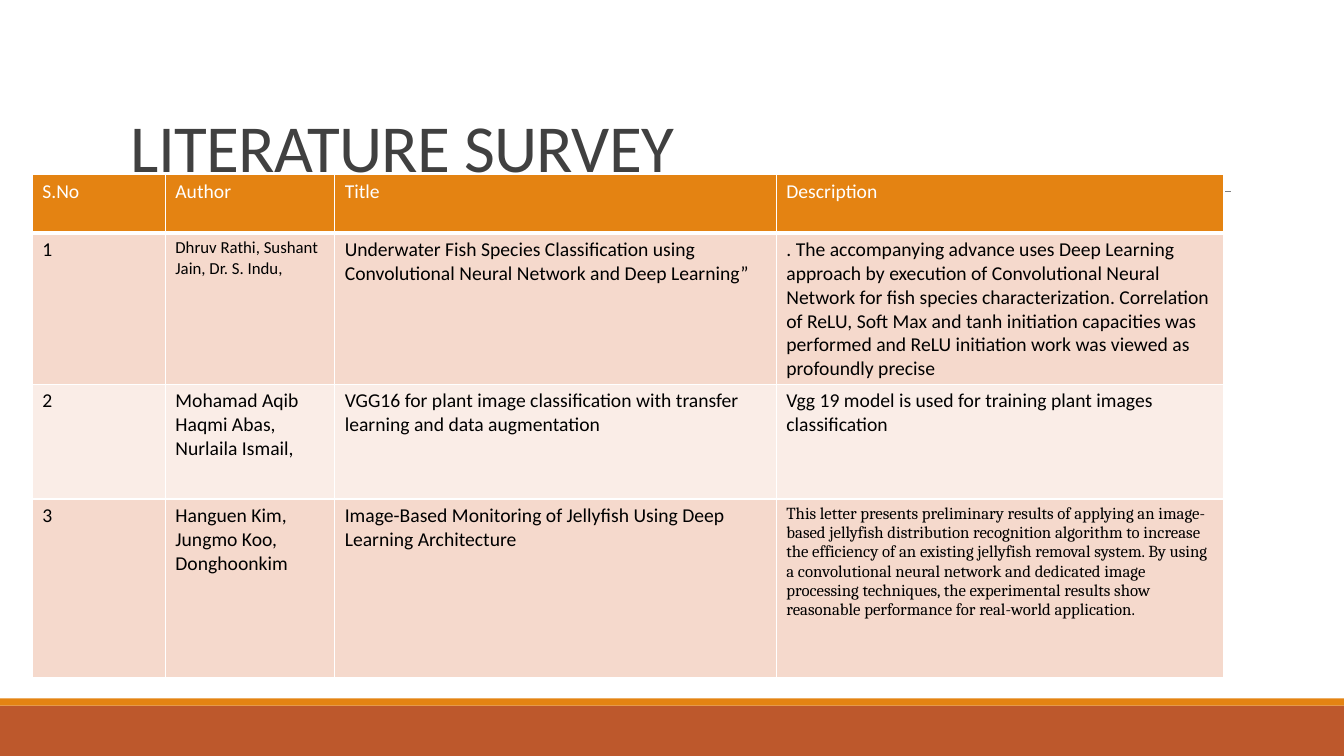
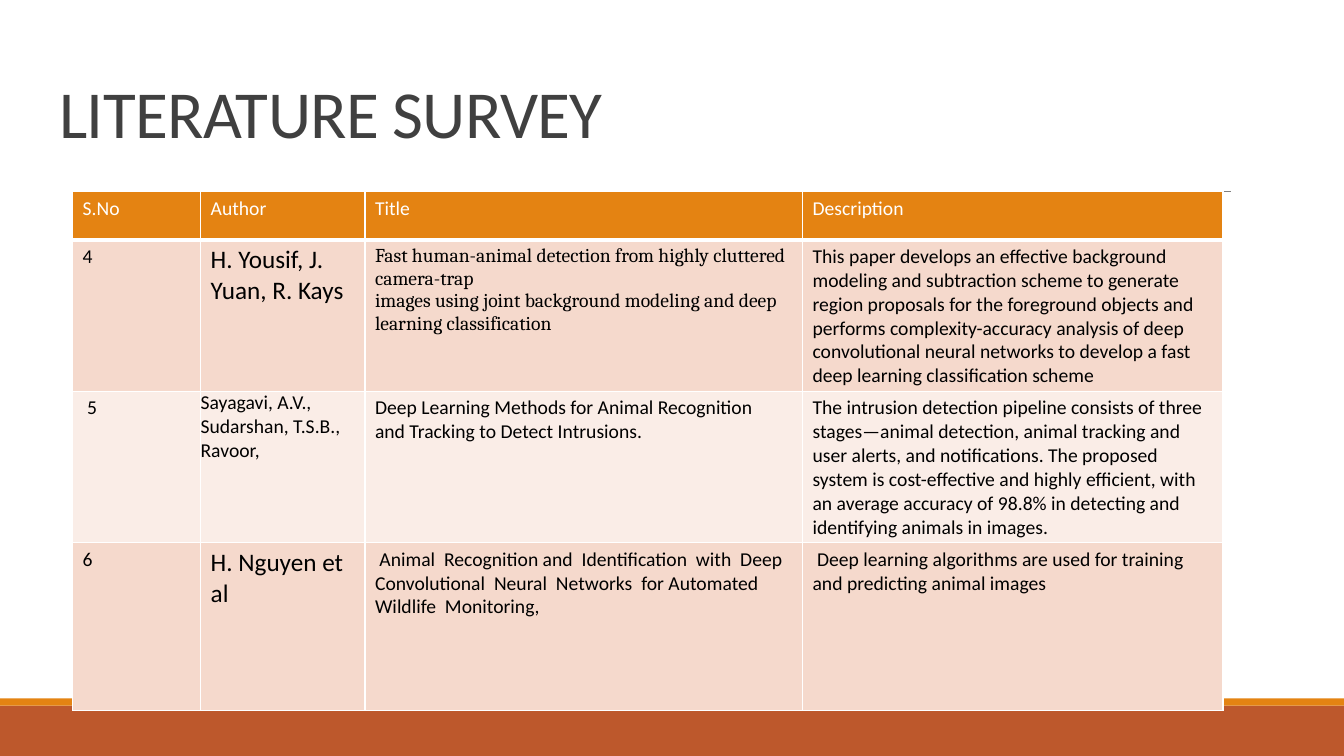
from dataclasses import dataclass

from lxml.etree import SubElement
from pptx import Presentation
from pptx.dml.color import RGBColor
from pptx.enum.shapes import MSO_CONNECTOR as CONN, MSO_SHAPE as SHAPE
from pptx.enum.text import MSO_ANCHOR as ANCHOR
from pptx.oxml.ns import qn
from pptx.util import Inches, Pt

RUST = RGBColor(0xBD, 0x58, 0x2C)
ORANGE = RGBColor(0xE4, 0x83, 0x12)
PEACH = RGBColor(0xF5, 0xD9, 0xCC)
PALE = RGBColor(0xFA, 0xED, 0xE7)
GRAY = RGBColor(0x80, 0x80, 0x80)
DARK = RGBColor(0x40, 0x40, 0x40)
WHITE = RGBColor(0xFF, 0xFF, 0xFF)
BLACK = RGBColor(0, 0, 0)

SANS, SERIF = "Calibri", "Cambria"
SLIDE_W, SLIDE_H = 13.33, 7.5
TITLE = "LITERATURE SURVEY"
HEADER = ["S.No", "Author", "Title", "Description"]


@dataclass
class Entry:
    text: str
    size: int = 14
    font: str = SANS
    flush: bool = False


class Deck:
    def __init__(self):
        self.prs = Presentation()
        self.prs.slide_width = Inches(SLIDE_W)
        self.prs.slide_height = Inches(SLIDE_H)
        self.s = None

    def slide(self):
        self.s = self.prs.slides.add_slide(self.prs.slide_layouts[6])
        self.band(7, 0.5, RUST)
        self.band(6.93, 0.07, ORANGE)
        self.rule(1.31, 12.21, 1.9)

    def band(self, y, h, color):
        sp = self.s.shapes.add_shape(SHAPE.RECTANGLE, 0, Inches(y), Inches(SLIDE_W), Inches(h))
        sp.shadow.inherit = False
        sp.fill.solid()
        sp.fill.fore_color.rgb = color
        sp.line.fill.background()

    def rule(self, x1, x2, y):
        ln = self.s.shapes.add_connector(CONN.STRAIGHT, Inches(x1), Inches(y), Inches(x2), Inches(y))
        ln.line.color.rgb = GRAY
        ln.line.width = Pt(0.5)
        SubElement(ln._element.spPr, qn("a:effectLst"))

    def run(self, p, text, size, font, color):
        r = p.add_run()
        r.text = text
        r.font.size = Pt(size)
        r.font.name = font
        r.font.bold = False
        r.font.color.rgb = color
        return r

    def title(self, text, x, y, w, h):
        tf = self.s.shapes.add_textbox(Inches(x), Inches(y), Inches(w), Inches(h)).text_frame
        tf.word_wrap = True
        tf.vertical_anchor = ANCHOR.BOTTOM
        p = tf.paragraphs[0]
        p.line_spacing = 0.85
        r = self.run(p, text, 48, SANS, DARK)
        r.font._element.set("spc", "-50")

    def borders(self, cell, bottom):
        tc_pr = cell._tc.get_or_add_tcPr()
        for side, width in (("L", 1), ("R", 1), ("T", 1), ("B", bottom)):
            ln = SubElement(tc_pr, qn(f"a:ln{side}"), w=str(Pt(width)))
            fill = SubElement(ln, qn("a:solidFill"))
            SubElement(fill, qn("a:srgbClr"), val=str(WHITE))

    def cell(self, cell, entry, fill, color, bottom):
        if isinstance(entry, str):
            entry = Entry(entry)
        self.borders(cell, bottom)
        cell.fill.solid()
        cell.fill.fore_color.rgb = fill
        if entry.flush:
            cell.margin_left = cell.margin_right = cell.margin_top = cell.margin_bottom = 0
        tf = cell.text_frame
        for i, line in enumerate(entry.text.split("\n")):
            p = tf.add_paragraph() if i else tf.paragraphs[0]
            self.run(p, line, entry.size, entry.font, color)

    def table(self, x, y, widths, heights, rows):
        rows = [HEADER] + rows
        tbl = self.s.shapes.add_table(
            len(rows), len(widths), Inches(x), Inches(y),
            Inches(sum(widths)), Inches(sum(heights))).table
        for col, w in zip(tbl.columns, widths):
            col.width = Inches(w)
        for i, (row, h, entries) in enumerate(zip(tbl.rows, heights, rows)):
            row.height = Inches(h)
            if i == 0:
                fill, color, bottom = ORANGE, WHITE, 3
            else:
                fill, color, bottom = (PEACH if i % 2 else PALE), BLACK, 1
            for cell, entry in zip(row.cells, entries):
                self.cell(cell, entry, fill, color, bottom)


FIRST_PAPERS = [
    ["1",
     Entry("Dhruv Rathi, Sushant Jain, Dr. S. Indu,", 12),
     "Underwater Fish Species Classification using Convolutional Neural Network and Deep Learning”",
     ". The accompanying advance uses Deep Learning approach by execution of Convolutional Neural "
     "Network for fish species characterization. Correlation of ReLU, Soft Max and tanh initiation "
     "capacities was performed and ReLU initiation work was viewed as profoundly precise"],
    ["2",
     "Mohamad Aqib Haqmi Abas, Nurlaila Ismail,",
     "VGG16 for plant image classification with transfer learning and data augmentation",
     "Vgg 19 model is used for training plant images classification"],
    ["3",
     "Hanguen Kim, Jungmo Koo, Donghoonkim",
     "Image-Based Monitoring of Jellyfish Using Deep Learning Architecture",
     Entry("This letter presents preliminary results of applying an image-based jellyfish distribution "
           "recognition algorithm to increase the efficiency of an existing jellyfish removal system. "
           "By using a convolutional neural network and dedicated image processing techniques, the "
           "experimental results show reasonable performance for real-world application.", 12, SERIF)],
]

SECOND_PAPERS = [
    ["4",
     Entry("H. Yousif, J. Yuan, R. Kays", 18),
     Entry("Fast human-animal detection from highly cluttered camera-trap\n"
           "images using joint background modeling and deep learning classification", font=SERIF),
     "This paper develops an effective background modeling and subtraction scheme to generate region "
     "proposals for the foreground objects and performs complexity-accuracy analysis of deep "
     "convolutional neural networks to develop a fast deep learning classification scheme"],
    [" 5",
     Entry("Sayagavi, A.V., Sudarshan, T.S.B., Ravoor,", flush=True),
     "Deep Learning Methods for Animal Recognition\nand Tracking to Detect Intrusions.",
     "The intrusion detection pipeline consists of three stages—animal detection, animal tracking and "
     "user alerts, and notifications. The proposed system is cost-effective and highly efficient, with "
     "an average accuracy of 98.8% in detecting and identifying animals in images."],
    ["6",
     Entry("H. Nguyen et al", 18),
     " Animal  Recognition and  Identification  with  Deep  Convolutional  Neural  Networks  "
     "for Automated  Wildlife  Monitoring,",
     " Deep learning algorithms are used for training and predicting animal images"],
]


def main():
    deck = Deck()

    deck.slide()
    deck.title(TITLE, 1.2, 0.31, 11, 1.59)
    deck.table(0.32, 1.73, [1.32, 1.68, 4.38, 4.44], [0.58, 1.35, 1.14, 1.77], FIRST_PAPERS)

    deck.slide()
    deck.title(TITLE, 0.49, 0.36, 11.71, 1.2)
    deck.table(0.72, 1.9, [1.27, 1.63, 4.34, 4.17], [0.48, 1.47, 1.07, 1.67], SECOND_PAPERS)

    deck.prs.save("out.pptx")


if __name__ == "__main__":
    main()
